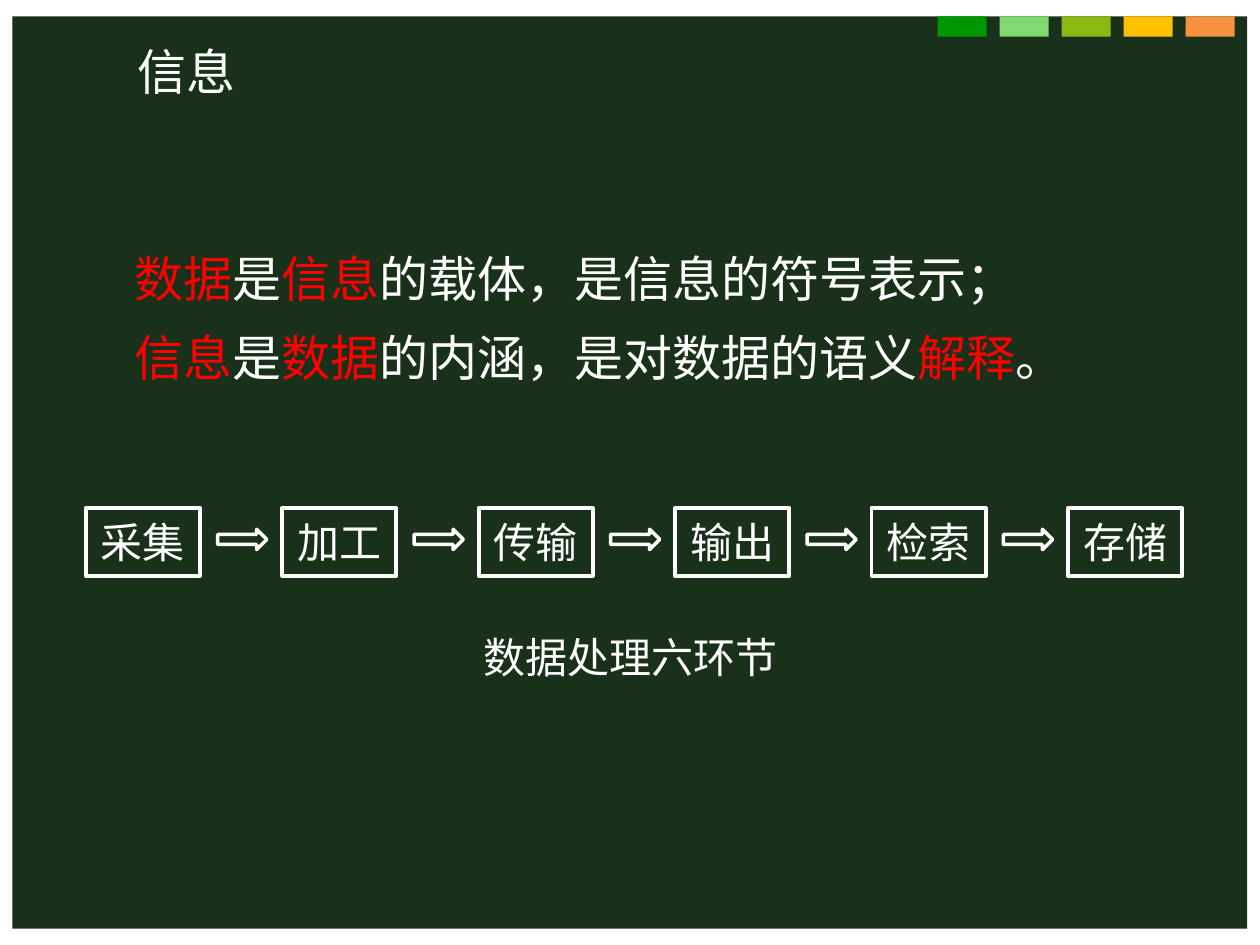
from lxml import etree
from pptx import Presentation
from pptx import util as u
from pptx.dml.color import RGBColor
from pptx.enum import shapes, text
from pptx.oxml.ns import qn

FONT = "Noto Sans CJK SC"
COLORS = {"board": "19311A", "white": "FFFFFF", "red": "FF0000"}
SWATCHES = ["009600", "82D971", "8ABA12", "FFC000", "F7923F"]

# Content: each paragraph is a list of (text, colour) runs
TITLE = [[("信息", "white")]]
STATEMENTS = [
    [("数据", "red"), ("是", "white"), ("信息", "red"),
     ("的载体，是信息的符号表示；", "white")],
    [("信息", "red"), ("是", "white"), ("数据", "red"),
     ("的内涵，是对数据的语义", "white"), ("解释", "red"), ("。", "white")],
]
STEPS = ["采集", "加工", "传输", "输出", "检索", "存储"]
CAPTION = "数据处理六环节"

# Layout in centimetres
SWATCH_LEFT, SWATCH_PITCH = 18.9, 1.25
STEP_LEFT, STEP_PITCH, STEP_TOP = 1.73, 3.96, 10.24
STEP_WIDTH, STEP_HEIGHT = 2.3, 1.37
ARROW_WIDTH, ARROW_HEIGHT, ARROW_OFFSET, ARROW_TOP = 0.99, 0.41, 2.66, 10.67


def place(shape, left, top, width, height):
    shape.left, shape.top = u.Cm(left), u.Cm(top)
    shape.width, shape.height = u.Cm(width), u.Cm(height)


def add_shape(slide, kind, box, fill=None, line=None, line_width=2.25):
    shape = slide.shapes.add_shape(kind, *map(u.Cm, box))
    shape.shadow.inherit = False
    if fill:
        shape.fill.solid()
        shape.fill.fore_color.rgb = RGBColor.from_string(fill)
    else:
        shape.fill.background()
    if line:
        shape.line.color.rgb = RGBColor.from_string(line)
        shape.line.width = u.Pt(line_width)
    else:
        shape.line.fill.background()
    return shape


def write(shape, paragraphs, size, alignment, line_spacing=None):
    frame = shape.text_frame
    frame.word_wrap = True
    frame.auto_size = text.MSO_AUTO_SIZE.NONE
    frame.vertical_anchor = text.MSO_ANCHOR.MIDDLE
    for index, runs in enumerate(paragraphs):
        paragraph = frame.add_paragraph() if index else frame.paragraphs[0]
        paragraph.alignment = alignment
        paragraph.space_before = u.Pt(0)
        if line_spacing:
            paragraph.line_spacing = u.Pt(line_spacing)
        properties = paragraph._p.get_or_add_pPr()
        properties.set("marL", "0")
        properties.set("indent", "0")
        etree.SubElement(properties, qn("a:buNone"))
        for words, color in runs:
            run = paragraph.add_run()
            run.text = words
            run.font.size = u.Pt(size)
            run.font.color.rgb = RGBColor.from_string(COLORS[color])
            run.font.name = FONT
            east_asian = etree.SubElement(run._r.get_or_add_rPr(), qn("a:ea"))
            east_asian.set("typeface", FONT)


def main():
    presentation = Presentation()
    presentation.slide_width, presentation.slide_height = u.Cm(25.4), u.Cm(19.05)
    slide = presentation.slides.add_slide(presentation.slide_layouts[1])
    rectangle = shapes.MSO_SHAPE.RECTANGLE
    left, center = text.PP_ALIGN.LEFT, text.PP_ALIGN.CENTER

    # Blackboard, sent behind the placeholders, and colour swatches
    board = add_shape(slide, rectangle, (0.25, 0.33, 24.89, 18.39), COLORS["board"])
    board.element.getparent().insert(2, board.element)
    for index, color in enumerate(SWATCHES):
        box = (SWATCH_LEFT + index * SWATCH_PITCH, 0.33, 0.99, 0.41)
        add_shape(slide, rectangle, box, color)

    # Title and statements
    title, body = slide.shapes.title, slide.placeholders[1]
    place(title, 2.51, 0.71, 8.56, 1.45)
    write(title, TITLE, 28, left)
    place(body, 2.46, 4.45, 20.52, 3.48)
    write(body, STATEMENTS, 28, left, line_spacing=45)

    # Process steps with an arrow between neighbours
    for index, step in enumerate(STEPS):
        step_left = STEP_LEFT + index * STEP_PITCH
        box = (step_left, STEP_TOP, STEP_WIDTH, STEP_HEIGHT)
        shape = add_shape(slide, rectangle, box, line=COLORS["white"])
        write(shape, [[(step, "white")]], 24, center)
        if index < len(STEPS) - 1:
            box = (step_left + ARROW_OFFSET, ARROW_TOP, ARROW_WIDTH, ARROW_HEIGHT)
            add_shape(slide, shapes.MSO_SHAPE.RIGHT_ARROW, box,
                      line=COLORS["white"], line_width=2)

    # Caption
    caption = slide.shapes.add_textbox(*map(u.Cm, (7.7, 12.6, 10.03, 1.27)))
    write(caption, [[(CAPTION, "white")]], 24, center)

    presentation.save("out.pptx")


if __name__ == "__main__":
    main()
